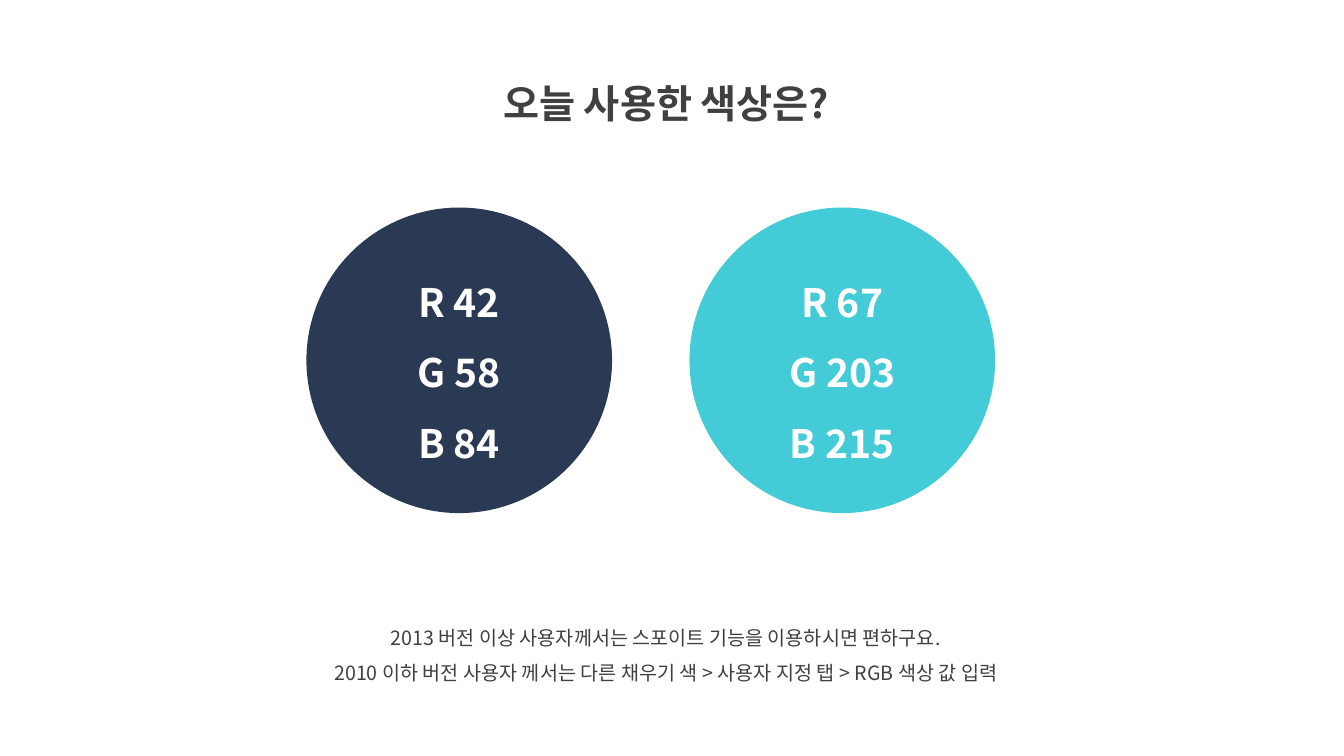
from pptx import Presentation
from pptx.dml.color import RGBColor
from pptx.enum import shapes, text
from pptx.oxml.ns import qn
from pptx.util import Cm, Inches, Pt
from lxml import etree

# Content
FONT = "Noto Sans CJK KR"
GREY, WHITE = "404040", "FFFFFF"
QUESTION = "오늘 사용한 색상은?"
SWATCHES = [(42, 58, 84), (67, 203, 215)]
TIPS = [
    "2013 버전 이상 사용자께서는 스포이트 기능을 이용하시면 편하구요.",
    "2010 이하 버전 사용자 께서는 다른 채우기 색 > 사용자 지정 탭 > RGB 색상 값 입력",
]

# Layout in centimetres
DIAMETER, FIRST_LEFT, SWATCH_TOP, PITCH = 7.7, 7.72, 5.23, 9.65


def color(value):
    return RGBColor.from_string(value)


def write(part, lines, size, ink, bold=False, anchor=text.MSO_ANCHOR.TOP):
    frame = part.text_frame
    frame.text = "\n".join(lines)
    frame.word_wrap = True
    frame.auto_size = text.MSO_AUTO_SIZE.NONE
    frame.vertical_anchor = anchor
    for paragraph in frame.paragraphs:
        paragraph.alignment = text.PP_ALIGN.CENTER
        paragraph.line_spacing = 1.5
        paragraph.space_before = Pt(0)
        for run in paragraph.runs:
            font = run.font
            font.size, font.bold, font.name = Pt(size), bold, FONT
            font.color.rgb = color(ink)
            # Hangul takes the East Asian typeface
            etree.SubElement(run._r.get_or_add_rPr(), qn("a:ea"), typeface=FONT)


deck = Presentation()
deck.slide_width, deck.slide_height = Inches(13.33), Inches(7.5)
slide = deck.slides.add_slide(deck.slide_layouts[5])

# Title
title = slide.shapes.title
title.left, title.top, title.width, title.height = map(Cm, (10.9, 1.27, 11.76, 1.83))
write(title, [QUESTION], 28, GREY, bold=True)

# Tips below the swatches
tips = slide.shapes.add_textbox(*map(Cm, (6.63, 15.34, 20.29, 2.06)))
write(tips, TIPS, 14, GREY)

# Colour swatches, each filled with the colour it names
for index, rgb in enumerate(SWATCHES):
    swatch = slide.shapes.add_shape(
        shapes.MSO_SHAPE.OVAL, Cm(FIRST_LEFT + index * PITCH), Cm(SWATCH_TOP),
        Cm(DIAMETER), Cm(DIAMETER))
    swatch.shadow.inherit = False
    swatch.fill.solid()
    swatch.fill.fore_color.rgb = color("%02X%02X%02X" % rgb)
    swatch.line.fill.background()
    channels = [f"{letter} {value}" for letter, value in zip("RGB", rgb)]
    write(swatch, channels, 28, WHITE, bold=True, anchor=text.MSO_ANCHOR.MIDDLE)

deck.save("out.pptx")
